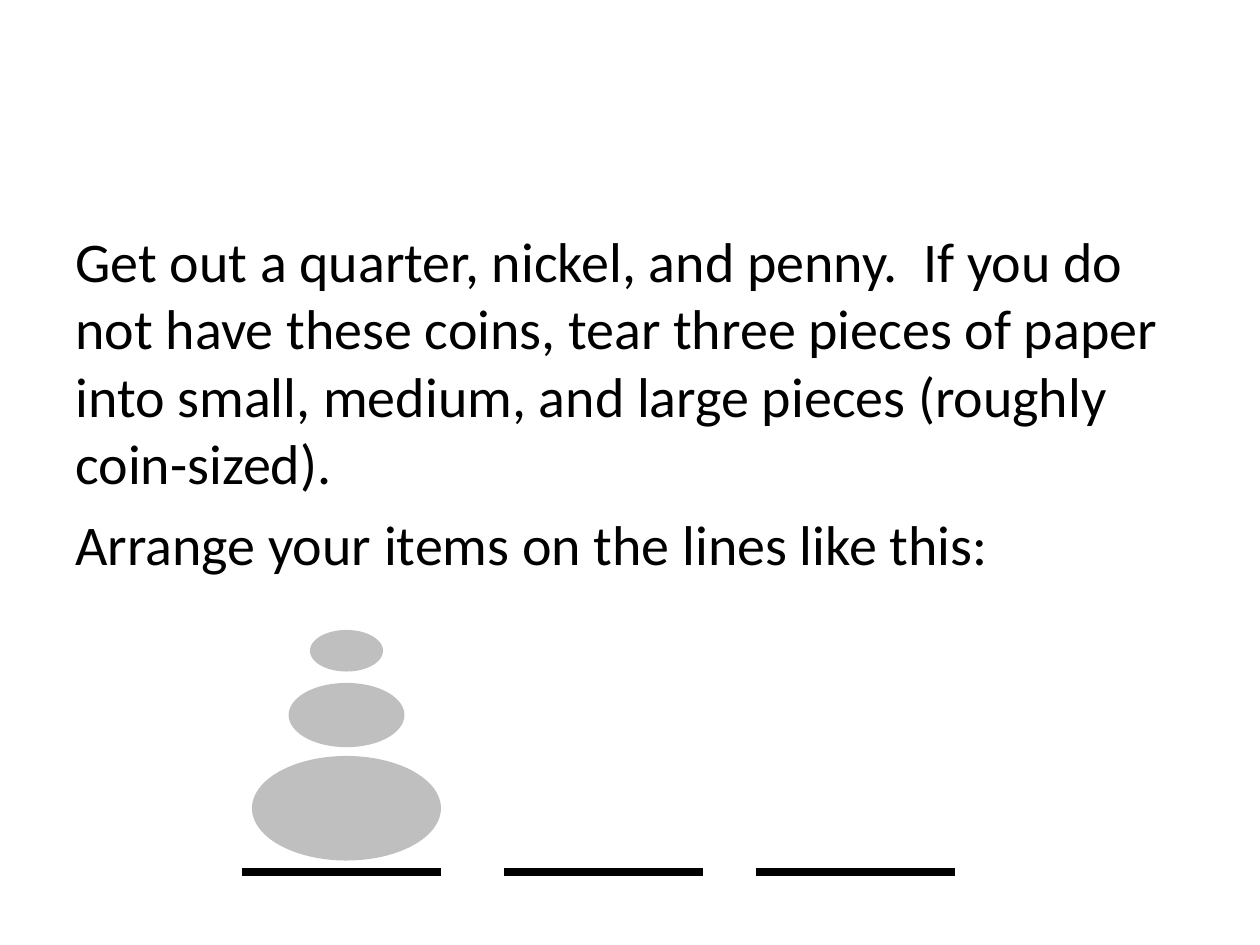
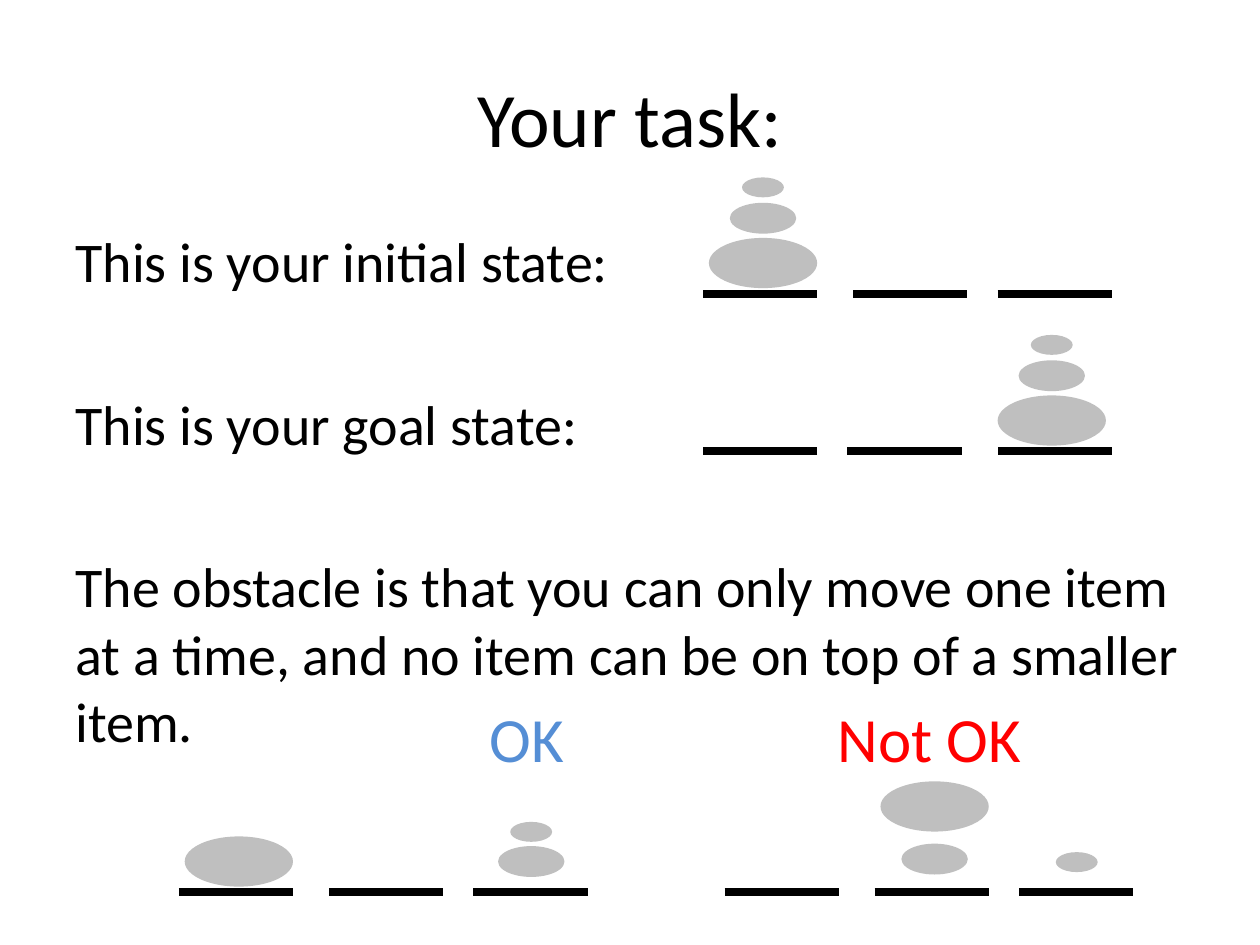
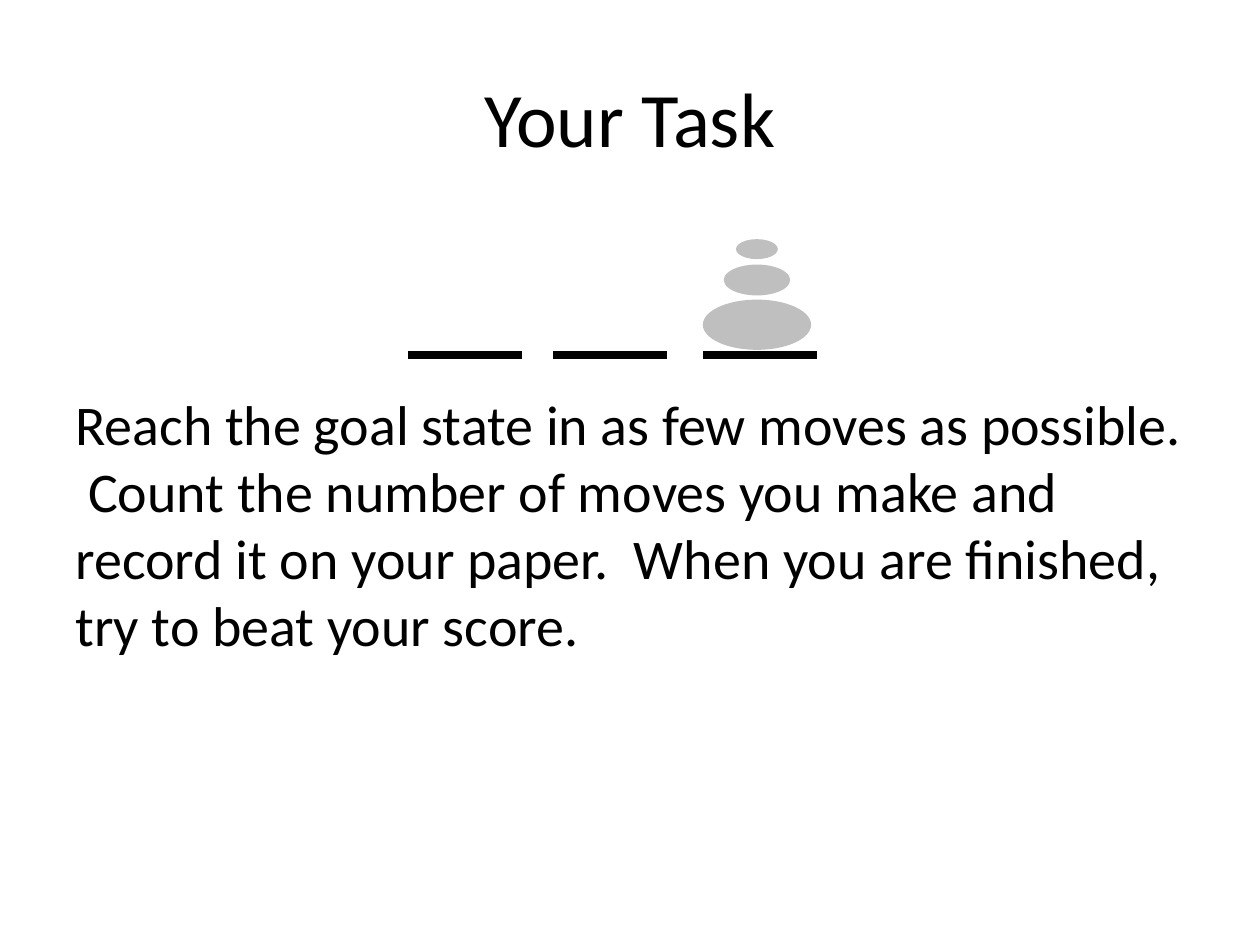
from lxml import etree
from pptx import Presentation
from pptx.dml.color import RGBColor
from pptx.enum.shapes import MSO_CONNECTOR, MSO_SHAPE
from pptx.enum.text import MSO_ANCHOR, PP_ALIGN
from pptx.oxml.ns import qn
from pptx.util import Inches, Pt

BLACK = RGBColor(0x00, 0x00, 0x00)
GREY = RGBColor(0xBF, 0xBF, 0xBF)
BLUE = RGBColor(0x55, 0x8E, 0xD5)
RED = RGBColor(0xFF, 0x00, 0x00)
FONT = "Calibri"
TITLE_ONLY, BLANK = 5, 6

# Full-size rack, in inches: three lines that hold discs of three sizes
LINE_STARTS = (0, 2.08, 4.08)
LINE_WIDTH = 1.58
RACK_WIDTH = LINE_STARTS[-1] + LINE_WIDTH
DISC_CENTRES = (0.83, 0.83, 0.8)
DISC_SIZES = {"large": (1.5, 0.83), "medium": (0.92, 0.51), "small": (0.58, 0.33)}
FULL, REDUCED = (1, 1), (0.573, 0.48)

# Discs: (size, line number, height above the line)
TOWER = [("large", 0, 0.09), ("small", 0, 1.59), ("medium", 0, 0.99)]
ALLOWED = [("large", 0, 0.09), ("small", 2, 0.83), ("medium", 2, 0.25)]
FORBIDDEN = [("large", 1, 1), ("small", 2, 0.33), ("medium", 1, 0.29)]

# Racks: left, base, discs, options
# Body: top, space before each later paragraph in points, paragraphs
SLIDES = [
    {
        "body": (1.75, 8, [
            "Get out a quarter, nickel, and penny.  If you do not have these coins, "
            "tear three pieces of paper into small, medium, and large pieces "
            "(roughly coin-sized).",
            "Arrange your items on the lines like this:",
        ]),
        "racks": [(1.92, 6.92, TOWER, {"scale": FULL})],
    },
    {
        "title": "Your task:",
        "body": (1.75, 54.5, [
            "This is your initial state:",
            "This is your goal state:",
            "The obstacle is that you can only move one item at a time, and no item "
            "can be on top of a smaller item.",
        ]),
        "racks": [
            (5.58, 2.33, TOWER, {}),
            (5.58, 3.58, TOWER, {"mirrored": True}),
            (1.42, 7.08, ALLOWED, {}),
            (5.75, 7.08, FORBIDDEN, {}),
        ],
        "labels": [("OK", 3.79, 0.91, BLUE), ("Not OK", 6.55, 2.03, RED)],
    },
    {
        "title": "Your Task",
        "body": (3.04, 8, [
            "Reach the goal state in as few moves as possible.  Count the number of "
            "moves you make and record it on your paper.  When you are finished, "
            "try to beat your score.",
        ]),
        "racks": [(3.24, 2.82, TOWER, {"mirrored": True})],
    },
]


def write(tf, paragraphs, size=32, color=BLACK, align=PP_ALIGN.LEFT, gap=0, wrap=True):
    tf.word_wrap = wrap
    for i, text in enumerate(paragraphs):
        p = tf.add_paragraph() if i else tf.paragraphs[0]
        p.alignment = align
        p.space_before = Pt(gap if i else 0)
        r = p.add_run()
        r.text = text
        r.font.name, r.font.size = FONT, Pt(size)
        r.font.color.rgb = color


def add_text(slide, box, paragraphs, **fmt):
    sp = slide.shapes.add_textbox(*map(Inches, box))
    write(sp.text_frame, paragraphs, **fmt)


def add_title(slide, text):
    sp = slide.shapes.title
    sp.left, sp.top, sp.width, sp.height = map(Inches, (0.5, 0.3, 9, 1.25))
    sp.text_frame.vertical_anchor = MSO_ANCHOR.MIDDLE
    write(sp.text_frame, [text], size=44, align=PP_ALIGN.CENTER)


def add_rack(slide, left, base, discs, scale=REDUCED, mirrored=False):
    """Draw the three lines and their discs; mirrored swaps left and right."""
    shapes = slide.shapes.add_group_shape().shapes
    sx, sy = scale

    def place(x):
        return Inches(left + sx * (RACK_WIDTH - x if mirrored else x))

    for start in LINE_STARTS:
        line = shapes.add_connector(
            MSO_CONNECTOR.STRAIGHT, place(start), Inches(base),
            place(start + LINE_WIDTH), Inches(base))
        line.line.color.rgb = BLACK
        line.line.width = Pt(4.5)
        etree.SubElement(line._element.spPr, qn("a:effectLst"))

    for size, number, lift in discs:
        w, h = DISC_SIZES[size]
        width = Inches(w * sx)
        centre = place(LINE_STARTS[number] + DISC_CENTRES[number])
        disc = shapes.add_shape(
            MSO_SHAPE.OVAL, centre - width // 2, Inches(base - sy * (lift + h)),
            width, Inches(h * sy))
        disc.shadow.inherit = False
        disc.fill.solid()
        disc.fill.fore_color.rgb = GREY
        disc.line.fill.background()


def main():
    prs = Presentation()
    prs.slide_width, prs.slide_height = Inches(10), Inches(7.5)
    for content in SLIDES:
        title = content.get("title")
        slide = prs.slides.add_slide(prs.slide_layouts[TITLE_ONLY if title else BLANK])
        if title:
            add_title(slide, title)
        top, gap, paragraphs = content["body"]
        add_text(slide, (0.5, top, 9, 6.7 - top), paragraphs, gap=gap)
        for left, base, discs, options in content["racks"]:
            add_rack(slide, left, base, discs, **options)
        for text, left, width, color in content.get("labels", []):
            add_text(slide, (left, 5.5, width, 0.7), [text],
                     size=36, color=color, wrap=False)
    prs.save("out.pptx")


if __name__ == "__main__":
    main()
